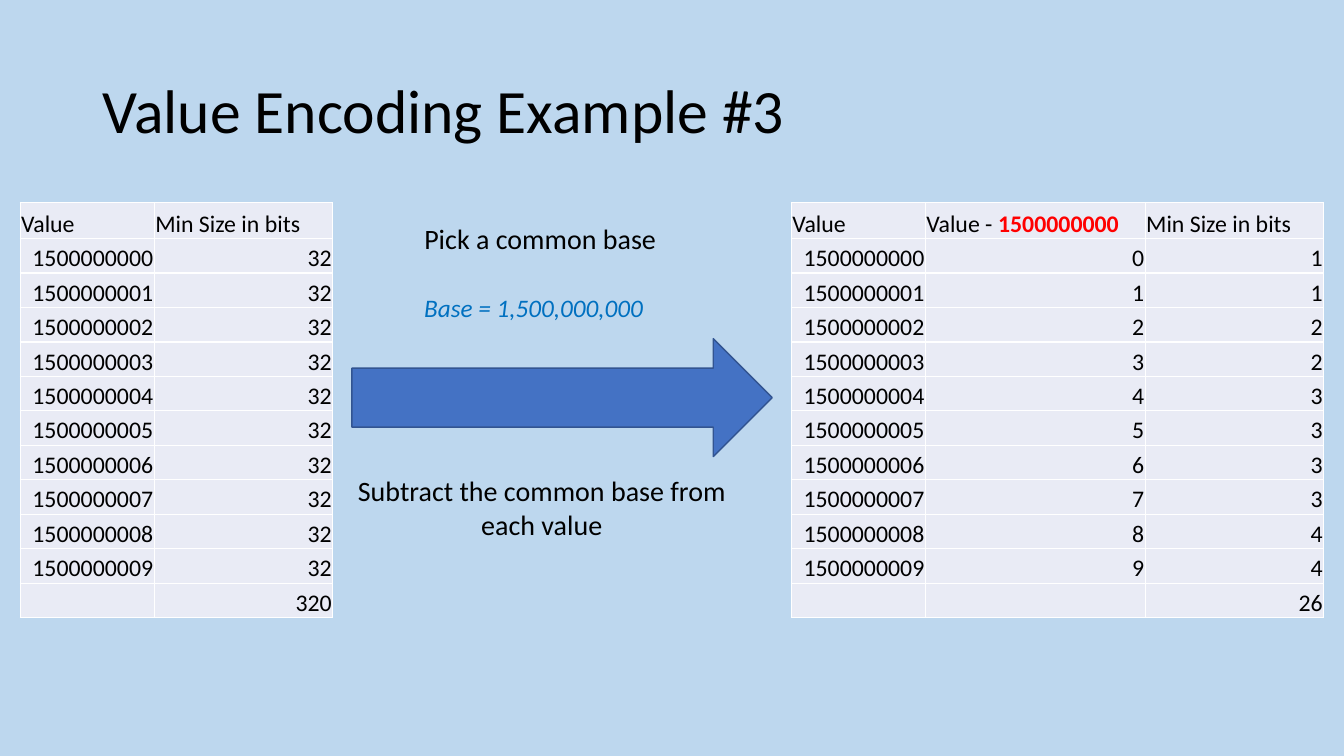
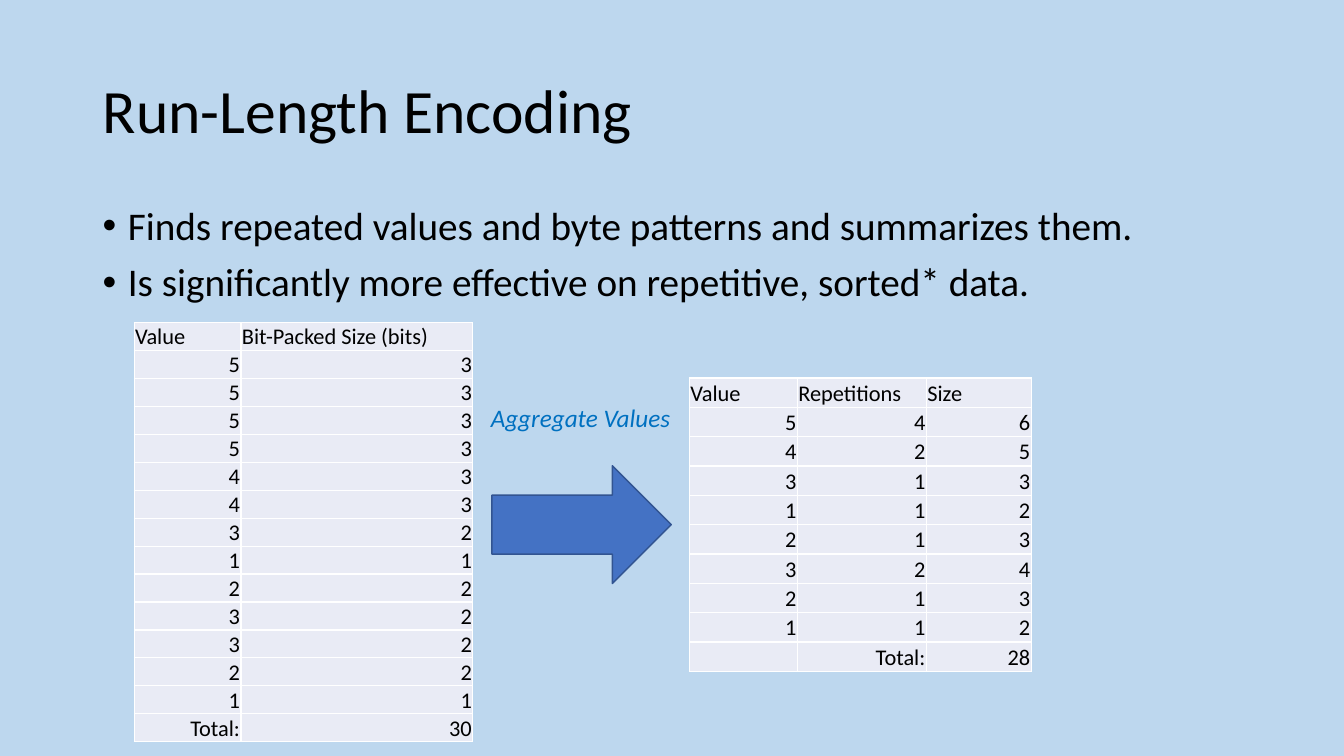
from dataclasses import dataclass, field
from itertools import groupby
from typing import Any

from lxml.etree import SubElement as sub
from pptx import Presentation
from pptx.dml.color import RGBColor
from pptx.enum.shapes import MSO_SHAPE as Shape
from pptx.enum.text import MSO_ANCHOR as Anchor, PP_ALIGN as Align
from pptx.oxml.ns import qn
from pptx.util import Inches, Pt

# Shared look
WIDE, HIGH = Inches(13.333), Inches(7.5)
FONT = "Calibri"
SKY, BLACK, WHITE, RED = "BDD7EE", "000000", "FFFFFF", "FF0000"
CELL, BLUE, EDGE, NOTE = "E9EBF5", "4472C4", "325491", "0070C0"
TITLE = dict(size=Pt(44))
BODY = dict(size=Pt(28))
STEP = dict(size=Pt(20))
HINT = dict(size=Pt(18), italic=True, color=NOTE)
INSET = dict(margin_left=Inches(0.01), margin_right=Inches(0.01),
             margin_top=Inches(0.01), margin_bottom=0,
             vertical_anchor=Anchor.BOTTOM)


@dataclass
class Box:
    """A place on the slide, in percent of its width and height."""
    left: float
    top: float
    width: float
    height: float

    def place(self) -> tuple[int, int, int, int]:
        return (across(self.left), down(self.top),
                across(self.width), down(self.height))


@dataclass
class Note:
    box: Box
    lines: list[str]
    style: dict[str, Any]
    para: dict[str, Any] = field(default_factory=dict)
    frame: dict[str, Any] = field(default_factory=dict)
    bullet: bool = False


@dataclass
class Grid:
    left: float
    top: float
    height: float
    cols: list[float]
    rows: list[list[Any]]
    size: float
    head: float = 0  # height of the first row; 0 makes all rows equal


def across(share: float) -> int:
    return round(WIDE * share / 100)


def down(share: float) -> int:
    return round(HIGH * share / 100)


def paint(color: Any, code: str) -> None:
    color.rgb = RGBColor.from_string(code)


def apply(item: Any, style: dict[str, Any]) -> None:
    for name, value in style.items():
        setattr(item, name, value)


def write(para: Any, text: str, style: dict[str, Any]) -> None:
    run = para.add_run()
    run.text = text
    look = dict(name=FONT, color=BLACK) | style
    paint(run.font.color, look.pop("color"))
    apply(run.font, look)


def add_note(slide: Any, note: Note) -> None:
    frame = slide.shapes.add_textbox(*note.box.place()).text_frame
    apply(frame, dict(word_wrap=True) | note.frame)
    for num, line in enumerate(note.lines):
        para = frame.add_paragraph() if num else frame.paragraphs[0]
        apply(para, note.para)
        write(para, line, note.style)
        if note.bullet:
            props = para._p.get_or_add_pPr()
            dent = Inches(0.25)
            props.set("marL", str(dent))
            props.set("indent", str(-dent))
            sub(props, qn("a:buFont"), typeface="Arial")
            sub(props, qn("a:buChar"), char="•")


def add_arrow(slide: Any, box: Box) -> None:
    arrow = slide.shapes.add_shape(Shape.RIGHT_ARROW, *box.place())
    arrow.shadow.inherit = False
    arrow.fill.solid()
    paint(arrow.fill.fore_color, BLUE)
    paint(arrow.line.color, EDGE)
    arrow.line.width = Pt(1)


def rule_cell(cell: Any) -> None:
    props = cell._tc.get_or_add_tcPr()
    for spot, side in enumerate("LRTB"):
        line = sub(props, qn(f"a:ln{side}"), w=str(Pt(1)))
        fill = sub(line, qn("a:solidFill"))
        sub(fill, qn("a:srgbClr"), val=WHITE)
        props.insert(spot, line)  # borders go before the fill


def fill_cell(cell: Any, value: Any, size: float, head: bool) -> None:
    apply(cell, INSET)
    cell.fill.solid()
    paint(cell.fill.fore_color, CELL)
    rule_cell(cell)
    para = cell.text_frame.paragraphs[0]
    para.alignment = Align.LEFT if head else Align.RIGHT
    if value == "":
        sub(para._p, qn("a:endParaRPr"), sz=str(round(size * 100)))
        return
    parts = value if isinstance(value, list) else [(str(value), {})]
    for text, style in parts:
        write(para, text, dict(size=Pt(size)) | style)


def add_grid(slide: Any, grid: Grid) -> None:
    count = len(grid.rows)
    box = Box(grid.left, grid.top, sum(grid.cols), grid.height)
    table = slide.shapes.add_table(count, len(grid.cols), *box.place()).table
    apply(table, dict(first_row=False, horz_banding=False))
    for col, width in zip(table.columns, grid.cols):
        col.width = across(width)
    head = grid.head or grid.height / count
    rest = (grid.height - head) / (count - 1)
    for r, row in enumerate(grid.rows):
        table.rows[r].height = down(rest if r else head)
        for c, value in enumerate(row):
            fill_cell(table.cell(r, c), value, grid.size, r == 0)


def add_slide(deck: Any, title: str) -> Any:
    slide = deck.slides.add_slide(deck.slide_layouts[6])
    slide.background.fill.solid()
    paint(slide.background.fill.fore_color, SKY)
    add_note(slide, Note(Box(6.9, 5.33, 86.25, 19.33), [title], TITLE,
                         dict(line_spacing=0.9),
                         dict(vertical_anchor=Anchor.MIDDLE)))
    return slide


def bits(value: int) -> int:
    return max(1, value.bit_length())


def value_slide(deck: Any) -> None:
    slide = add_slide(deck, "Value Encoding Example #3")
    base, full, steps = 1500000000, 32, range(10)
    add_arrow(slide, Box(26.18, 44.8, 31.28, 15.6))
    add_note(slide, Note(Box(30.83, 28.67, 19.88, 6),
                         ["Pick a common base"], STEP))
    add_note(slide, Note(Box(25.05, 62, 30.53, 10.67),
                         ["Subtract the common base from", "each value"],
                         STEP, dict(alignment=Align.CENTER)))
    add_note(slide, Note(Box(30.83, 38, 18, 5.33), [f"Base = {base:,}"],
                         HINT, frame=dict(word_wrap=False)))

    # Values before and after the base is taken off
    minus = [("Value - ", {}), (str(base), dict(bold=True, color=RED))]
    after = [["Value", minus, "Min Size in bits"],
             *([base + n, n, bits(n)] for n in steps),
             ["", "", sum(map(bits, steps))]]
    before = [["Value", "Min Size in bits"],
              *([base + n, full] for n in steps),
              ["", full * len(steps)]]
    shape = dict(top=26.8, height=54.93, size=17, head=4.75)
    add_grid(slide, Grid(left=58.88, cols=[9.98, 16.35, 13.28],
                         rows=after, **shape))
    add_grid(slide, Grid(left=1.5, cols=[9.98, 13.28],
                         rows=before, **shape))


def run_slide(deck: Any) -> None:
    slide = add_slide(deck, "Run-Length Encoding")
    add_note(slide, Note(
        Box(6.9, 26.67, 86.25, 63.47),
        ["Finds repeated values and byte patterns and summarizes them.",
         "Is significantly more effective on repetitive, sorted* data."],
        BODY, dict(line_spacing=0.9, space_before=Pt(10)), bullet=True))

    # Single values, then runs of equal values
    values = [5, 5, 5, 5, 4, 4, 3, 1, 2, 3, 3, 2, 1]
    runs = [(v, len(list(same))) for v, same in groupby(values)]
    sizes = [bits(v) + bits(n) for v, n in runs]
    single = [["Value", "Bit-Packed Size (bits)"],
              *([v, bits(v)] for v in values),
              ["Total:", sum(map(bits, values))]]
    packed = [["Value", "Repetitions", "Size"],
              *([v, n, size] for (v, n), size in zip(runs, sizes)),
              ["", "Total:", sum(sizes)]]
    add_grid(slide, Grid(9.98, 42.67, 55.47, [7.95, 17.25], single, 16))
    add_grid(slide, Grid(51.3, 50, 38.8, [8.03, 9.6, 7.8], packed, 16))
    add_arrow(slide, Box(36.6, 61.6, 13.35, 15.6))
    add_note(slide, Note(Box(35.78, 52.53, 15, 5.33), ["Aggregate Values"],
                         HINT, frame=dict(word_wrap=False)))


def main() -> None:
    deck = Presentation()
    apply(deck, dict(slide_width=WIDE, slide_height=HIGH))
    value_slide(deck)
    run_slide(deck)
    deck.save("out.pptx")


if __name__ == "__main__":
    main()
